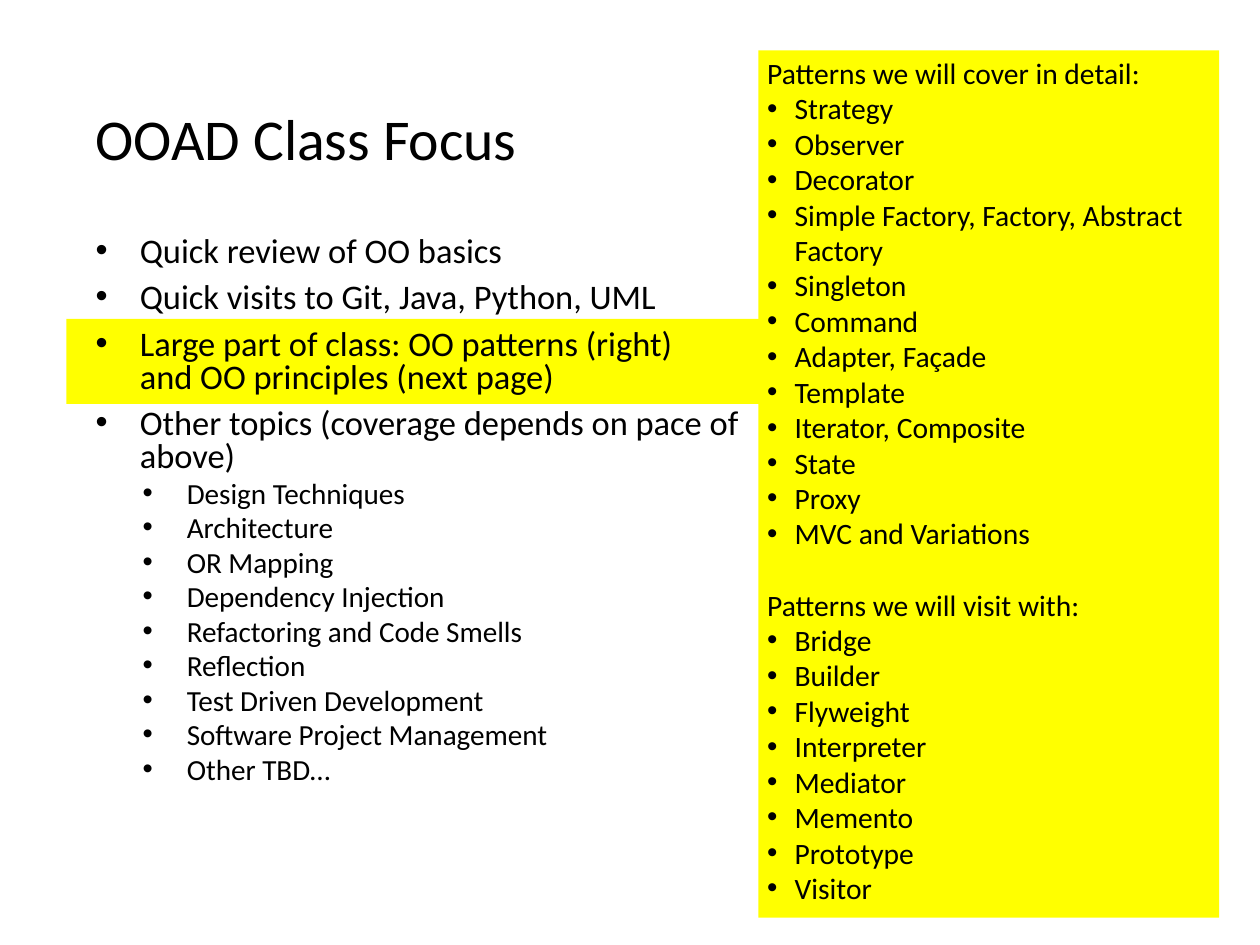
from dataclasses import dataclass

import pptx
import pptx.dml.color
import pptx.enum.shapes
import pptx.enum.text
import pptx.oxml
import pptx.oxml.ns
import pptx.util

Inches = pptx.util.Inches
Pt = pptx.util.Pt

YELLOW = "FFFF00"
BLACK = "000000"
FONT = "Calibri"


@dataclass(frozen=True)
class Box:
    left: float
    top: float
    width: float
    height: float

    def lengths(self) -> list[int]:
        return [Inches(n) for n in (self.left, self.top, self.width, self.height)]


@dataclass(frozen=True)
class Style:
    size: float
    line_spacing: float = 1.0
    space_before: float = 0
    indent: float = 0
    hanging: float = 0
    level: int = 0


@dataclass(frozen=True)
class Line:
    text: str
    style: Style


TITLE = Style(46.9, line_spacing=0.9)
TOPIC = Style(28, line_spacing=0.8, space_before=10.7, indent=0.5, hanging=0.5)
SUBTOPIC = Style(23.7, line_spacing=0.8, space_before=5.3, indent=1.03, hanging=0.5, level=1)
HEADING = Style(24)
LATER_HEADING = Style(24, space_before=29)
PATTERN = Style(24, indent=0.31, hanging=0.31)

TOPICS = [
    "Quick review of OO basics",
    "Quick visits to Git, Java, Python, UML",
    "Large part of class: OO patterns (right) \nand OO principles (next page)",
    "Other topics (coverage depends on pace of above)",
]
OTHER_TOPICS = [
    "Design Techniques", "Architecture", "OR Mapping", "Dependency Injection",
    "Refactoring and Code Smells", "Reflection", "Test Driven Development",
    "Software Project Management", "Other TBD…",
]
DETAILED_PATTERNS = [
    "Strategy", "Observer", "Decorator", "Simple Factory, Factory, Abstract Factory",
    "Singleton", "Command", "Adapter, Façade", "Template", "Iterator, Composite",
    "State", "Proxy", "MVC and Variations",
]
VISITED_PATTERNS = [
    "Bridge", "Builder", "Flyweight", "Interpreter", "Mediator", "Memento",
    "Prototype", "Visitor",
]


def color(value: str) -> pptx.dml.color.RGBColor:
    return pptx.dml.color.RGBColor.from_string(value)


def styled(texts: list[str], style: Style) -> list[Line]:
    return [Line(text, style) for text in texts]


def add_bullet(paragraph, style: Style) -> None:
    properties = paragraph._p.get_or_add_pPr()
    properties.set("marL", str(Inches(style.indent)))
    properties.set("indent", str(-Inches(style.hanging)))
    for tag, attribute, value in (("a:buFont", "typeface", "Arial"), ("a:buChar", "char", "•")):
        mark = pptx.oxml.parse_xml(f"<{tag} {pptx.oxml.ns.nsdecls('a')} {attribute}='{value}'/>")
        properties.append(mark)


def write_lines(frame, lines: list[Line], anchor) -> None:
    frame.word_wrap = True
    frame.vertical_anchor = anchor
    for number, line in enumerate(lines):
        paragraph = frame.add_paragraph() if number else frame.paragraphs[0]
        paragraph.text = line.text
        style = line.style
        paragraph_format = {
            "alignment": pptx.enum.text.PP_ALIGN.LEFT,
            "level": style.level,
            "line_spacing": style.line_spacing,
            "space_before": Pt(style.space_before),
        }
        for name, value in paragraph_format.items():
            setattr(paragraph, name, value)
        if style.hanging:
            add_bullet(paragraph, style)
        for run in paragraph.runs:
            for name, value in {"name": FONT, "size": Pt(style.size)}.items():
                setattr(run.font, name, value)
            run.font.color.rgb = color(BLACK)


def add_text(slide, box: Box, lines: list[Line], anchor) -> None:
    write_lines(slide.shapes.add_textbox(*box.lengths()).text_frame, lines, anchor)


def add_panel(slide, box: Box):
    """Add a plain yellow rectangle and return it."""
    panel = slide.shapes.add_shape(pptx.enum.shapes.MSO_SHAPE.RECTANGLE, *box.lengths())
    panel.shadow.inherit = False
    panel.fill.solid()
    panel.fill.fore_color.rgb = color(YELLOW)
    panel.line.fill.background()
    return panel


def main() -> None:
    deck = pptx.Presentation()
    deck.slide_width, deck.slide_height = Inches(14.22), Inches(10.67)
    slide = deck.slides.add_slide(deck.slide_layouts[6])
    top, middle = pptx.enum.text.MSO_ANCHOR.TOP, pptx.enum.text.MSO_ANCHOR.MIDDLE

    add_panel(slide, Box(0.75, 3.6, 8.56, 0.96))
    add_text(slide, Box(0.98, 0.57, 12.27, 2.06), [Line("OOAD Class Focus", TITLE)], middle)
    topics = styled(TOPICS, TOPIC) + styled(OTHER_TOPICS, SUBTOPIC)
    add_text(slide, Box(0.98, 2.63, 7.58, 6.77), topics, top)

    patterns = [
        Line("Patterns we will cover in detail:", HEADING),
        *styled(DETAILED_PATTERNS, PATTERN),
        Line("Patterns we will visit with:", LATER_HEADING),
        *styled(VISITED_PATTERNS, PATTERN),
    ]
    pattern_panel = add_panel(slide, Box(8.56, 0.57, 5.2, 9.79))
    write_lines(pattern_panel.text_frame, patterns, top)

    deck.save("out.pptx")


if __name__ == "__main__":
    main()
